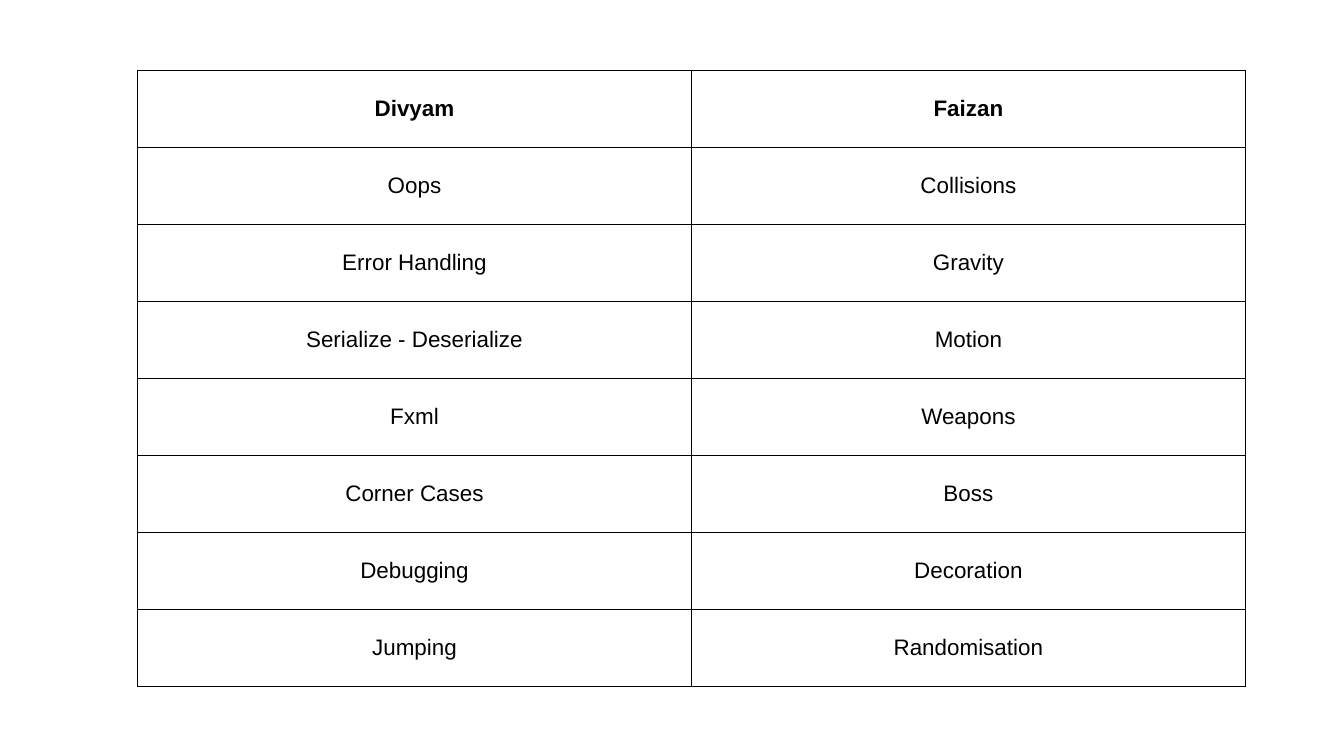
from lxml import etree
from pptx import Presentation
from pptx.dml.color import RGBColor
from pptx.enum import text
from pptx.oxml import ns
from pptx.util import Pt

BLACK = RGBColor(0, 0, 0)
WHITE = RGBColor(255, 255, 255)

LEFT, TOP = 196.56, 100.8
COL_WIDTH, ROW_HEIGHT = 791.28, 110
MARGIN = Pt(4.5)
THIN, THICK = Pt(1), Pt(3)

TOPICS = [
    ("Divyam", "Faizan"),
    ("Oops", "Collisions"),
    ("Error Handling", "Gravity"),
    ("Serialize - Deserialize", "Motion"),
    ("Fxml", "Weapons"),
    ("Corner Cases", "Boss"),
    ("Debugging", "Decoration"),
    ("Jumping", "Randomisation"),
]


def set_borders(cell, widths):
    tc_pr = cell._tc.get_or_add_tcPr()
    for i, (side, width) in enumerate(widths.items()):
        ln = etree.Element(ns.qn(f"a:ln{side}"), w=str(width))
        fill = etree.SubElement(ln, ns.qn("a:solidFill"))
        etree.SubElement(fill, ns.qn("a:srgbClr"), val=str(BLACK))
        tc_pr.insert(i, ln)


def format_cell(cell, label, row):
    cell.fill.solid()
    cell.fill.fore_color.rgb = WHITE
    cell.vertical_anchor = text.MSO_ANCHOR.MIDDLE
    cell.margin_left = cell.margin_right = MARGIN
    cell.margin_top = cell.margin_bottom = MARGIN
    cell.text = label
    p = cell.text_frame.paragraphs[0]
    p.alignment = text.PP_ALIGN.CENTER
    p.font.name = "Arial"
    p.font.size = Pt(32)
    p.font.bold = row == 0
    p.font.color.rgb = BLACK
    set_borders(cell, {
        "L": THIN,
        "R": THIN,
        "T": THICK if row == 1 else THIN,
        "B": THICK if row == 0 else THIN,
    })


def add_topic_table(slide, topics):
    rows, cols = len(topics), len(topics[0])
    table = slide.shapes.add_table(
        rows, cols, Pt(LEFT), Pt(TOP), Pt(cols * COL_WIDTH), Pt(rows * ROW_HEIGHT)
    ).table
    table.horz_banding = False
    for column in table.columns:
        column.width = Pt(COL_WIDTH)
    for r, labels in enumerate(topics):
        table.rows[r].height = Pt(ROW_HEIGHT)
        for c, label in enumerate(labels):
            format_cell(table.cell(r, c), label, r)


def main():
    prs = Presentation()
    prs.slide_width, prs.slide_height = Pt(1920), Pt(1080)
    s = prs.slides.add_slide(prs.slide_layouts[6])
    add_topic_table(s, TOPICS)
    prs.save("out.pptx")


if __name__ == "__main__":
    main()
